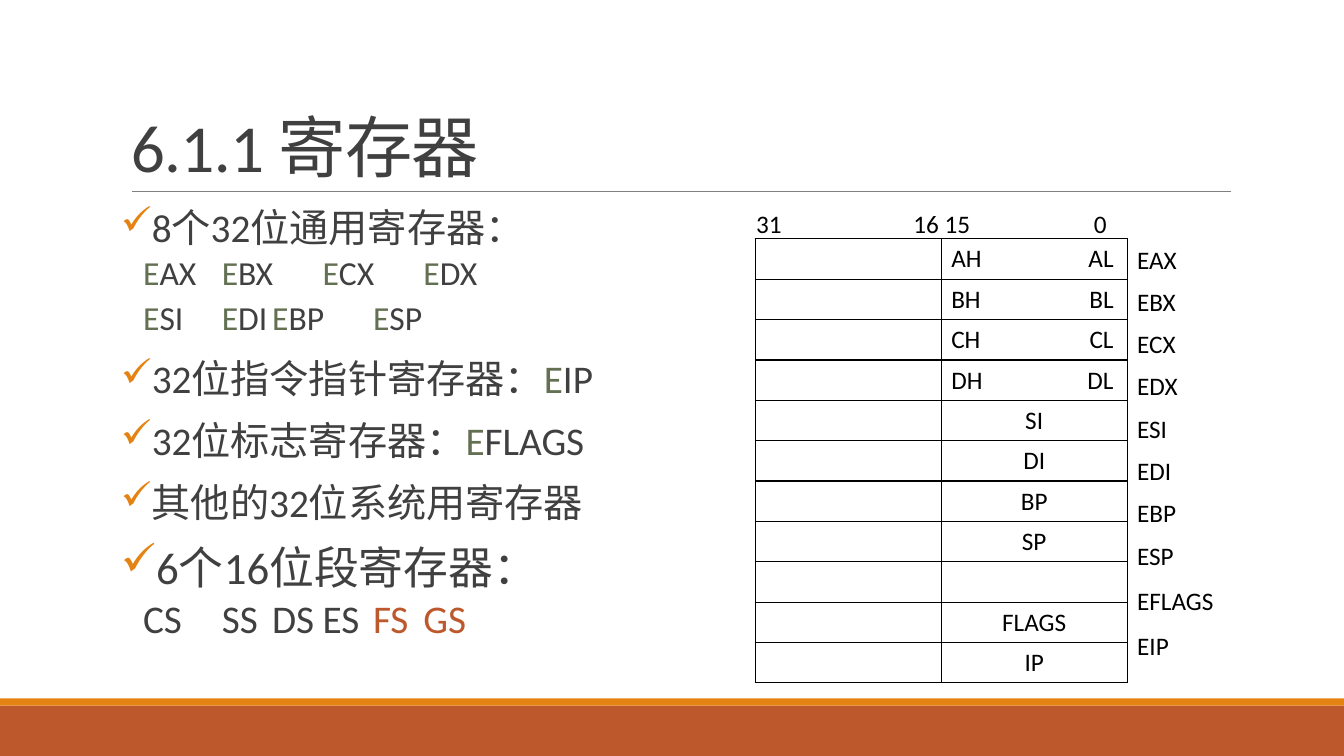
from lxml.etree import SubElement
from pptx import Presentation
from pptx.dml.color import RGBColor
from pptx.enum.shapes import MSO_CONNECTOR as Connector, MSO_SHAPE as Shape
from pptx.enum.text import MSO_ANCHOR as Anchor, PP_ALIGN as Align
from pptx.oxml.ns import qn
from pptx.util import Inches, Pt

COLORS = {
    "text": "404040", "black": "000000", "green": "637052",
    "rust": "BD582C", "orange": "E48312", "rule": "808080",
}
FONT = "Calibri"

GENERAL_REGISTERS = [["EAX", "EBX", "ECX", "EDX"], ["ESI", "EDI", "EBP", "ESP"]]
SEGMENT_REGISTERS = ["CS", "SS", "DS", "ES", "FS", "GS"]
LOW_HALVES = ["AH\tAL", "BH\tBL", "CH\tCL", "DH\tDL",
              "SI", "DI", "BP", "SP", "", "FLAGS", "IP"]
ROW_LABELS = [*GENERAL_REGISTERS[0], *GENERAL_REGISTERS[1], "EFLAGS", "EIP"]


def color(name):
    return RGBColor.from_string(COLORS[name])


def format_run(run, size, color_name):
    run.font.name = FONT
    run.font.size = Pt(size)
    run.font.color.rgb = color(color_name)


def fill_paragraph(paragraph, pieces, size):
    """Add runs given as (text, color name) pairs."""
    for text, color_name in pieces:
        run = paragraph.add_run()
        run.text = text
        format_run(run, size, color_name)


def add_tabs(paragraph, stops):
    """Add tab stops given as (inches, alignment) pairs."""
    tab_list = SubElement(paragraph._p.get_or_add_pPr(), qn("a:tabLst"))
    for position, alignment in stops:
        SubElement(tab_list, qn("a:tab"), pos=str(Inches(position)), algn=alignment)


def add_text_frame(slide, left, top, width, height):
    box = slide.shapes.add_textbox(*map(Inches, (left, top, width, height)))
    box.text_frame.word_wrap = True
    return box.text_frame


def add_band(slide, left, top, width, height, color_name):
    band = slide.shapes.add_shape(
        Shape.RECTANGLE, *map(Inches, (left, top, width, height)))
    band.shadow.inherit = False
    band.fill.solid()
    band.fill.fore_color.rgb = color(color_name)
    band.line.fill.background()


def add_title(slide, left, top, width, height):
    """Title standing on a thin rule."""
    bottom = Inches(top + height)
    rule = slide.shapes.add_connector(
        Connector.STRAIGHT, Inches(left + 0.11), bottom,
        Inches(left + width + 0.01), bottom)
    rule.line.color.rgb = color("rule")
    rule.line.width = Pt(0.5)
    SubElement(rule._element.spPr, qn("a:effectLst"))

    frame = add_text_frame(slide, left, top, width, height)
    frame.vertical_anchor = Anchor.BOTTOM
    paragraph = frame.paragraphs[0]
    paragraph.text = "6.1.1 寄存器"
    paragraph.line_spacing = 0.85
    format_run(paragraph.runs[0], 48, "text")
    paragraph.runs[0].font._element.set("spc", "-50")


def space_paragraph(paragraph, before, after):
    paragraph.line_spacing = 0.9
    paragraph.space_before = Pt(before)
    paragraph.space_after = Pt(after)


def format_bullet(paragraph):
    space_paragraph(paragraph, 12, 2)
    properties = paragraph._p.get_or_add_pPr()
    properties.set("marL", str(Inches(0.1)))
    properties.set("indent", str(-Inches(0.1)))
    bullet_color = SubElement(properties, qn("a:buClr"))
    SubElement(bullet_color, qn("a:srgbClr"), val=COLORS["orange"])
    SubElement(properties, qn("a:buChar"), char="✓")


def format_register_line(paragraph, count, step):
    """Indented line with its registers on evenly spaced tab stops."""
    space_paragraph(paragraph, 2, 4)
    indent = 0.22
    paragraph._p.get_or_add_pPr().set("indent", str(Inches(indent)))
    add_tabs(paragraph, [(indent + step * i, "l") for i in range(1, count)])


def extended(name):
    """Runs for a 32-bit register, its E in green."""
    return [(name[0], "green"), (name[1:], "text")]


def add_register_list(slide, left, top, width, height):
    frame = add_text_frame(slide, left, top, width, height)
    frame.margin_left = frame.margin_right = 0
    paragraphs = [frame.paragraphs[0]]

    def next_paragraph():
        return paragraphs.pop() if paragraphs else frame.add_paragraph()

    def add_bullet(text, register="", size=28):
        paragraph = next_paragraph()
        format_bullet(paragraph)
        pieces = extended(register) if register else []
        fill_paragraph(paragraph, [(text, "text")] + pieces, size)

    def add_registers(groups, step, size):
        paragraph = next_paragraph()
        format_register_line(paragraph, len(groups), step)
        for i, pieces in enumerate(groups):
            tab = [("\t", "text")] if i else []
            fill_paragraph(paragraph, tab + pieces, size)

    add_bullet("8个32位通用寄存器：")
    for names in GENERAL_REGISTERS:
        add_registers([extended(name) for name in names], 0.83, 24)
    add_bullet("32位指令指针寄存器：", "EIP")
    add_bullet("32位标志寄存器：", "EFLAGS")
    add_bullet("其他的32位系统用寄存器")
    add_bullet("6个16位段寄存器：", size=32)
    add_registers([[(name, "rust" if name in ("FS", "GS") else "text")]
                   for name in SEGMENT_REGISTERS], 0.73, 28)


def set_borders(cell):
    properties = cell._tc.get_or_add_tcPr()
    for side in ("lnL", "lnR", "lnT", "lnB"):
        line = SubElement(properties, qn(f"a:{side}"), w=str(Pt(1)))
        fill = SubElement(line, qn("a:solidFill"))
        SubElement(fill, qn("a:srgbClr"), val=COLORS["black"])


def add_register_table(slide, left, top, width, height):
    table = slide.shapes.add_table(
        len(LOW_HALVES), 2, *map(Inches, (left, top, width, height))).table
    table.first_row = table.horz_banding = False
    for row, low_half in enumerate(LOW_HALVES):
        for column, text in enumerate(("", low_half)):
            cell = table.cell(row, column)
            set_borders(cell)
            cell.fill.background()
            paragraph = cell.text_frame.paragraphs[0]
            if not text:
                continue
            fill_paragraph(paragraph, [(text, "black")], 18)
            if "\t" in text:
                add_tabs(paragraph, [(1.61, "r")])
            else:
                paragraph.alignment = Align.CENTER


def add_bit_numbers(slide, left, top, width, height):
    frame = add_text_frame(slide, left, top, width, height)
    frame.margin_left = 0
    paragraph = frame.paragraphs[0]
    fill_paragraph(paragraph, [("31\t16 15\t0", "black")], 18)
    add_tabs(paragraph, [(1.56, "l"), (3.35, "l")])


def add_row_labels(slide, left, top, width, height):
    frame = add_text_frame(slide, left, top, width, height)
    frame.text = "\n".join(ROW_LABELS)
    for paragraph in frame.paragraphs:
        paragraph.line_spacing = 1.5 if paragraph.text in ("EFLAGS", "EIP") else 1.4
        format_run(paragraph.runs[0], 18, "black")


def main():
    presentation = Presentation()
    presentation.slide_width = Inches(13.33)
    presentation.slide_height = Inches(7.5)
    slide = presentation.slides.add_slide(presentation.slide_layouts[6])
    add_band(slide, 0, 7, 13.33, 0.5, "rust")
    add_band(slide, 0, 6.93, 13.33, 0.07, "orange")
    add_title(slide, 1.2, 0.31, 11, 1.59)
    add_register_list(slide, 1.2, 2.02, 5.24, 4.65)
    add_register_table(slide, 7.49, 2.37, 3.69, 4.4)
    add_bit_numbers(slide, 7.5, 2.02, 3.68, 0.4)
    add_row_labels(slide, 11.18, 2.25, 1.05, 4.81)
    presentation.save("out.pptx")


if __name__ == "__main__":
    main()
